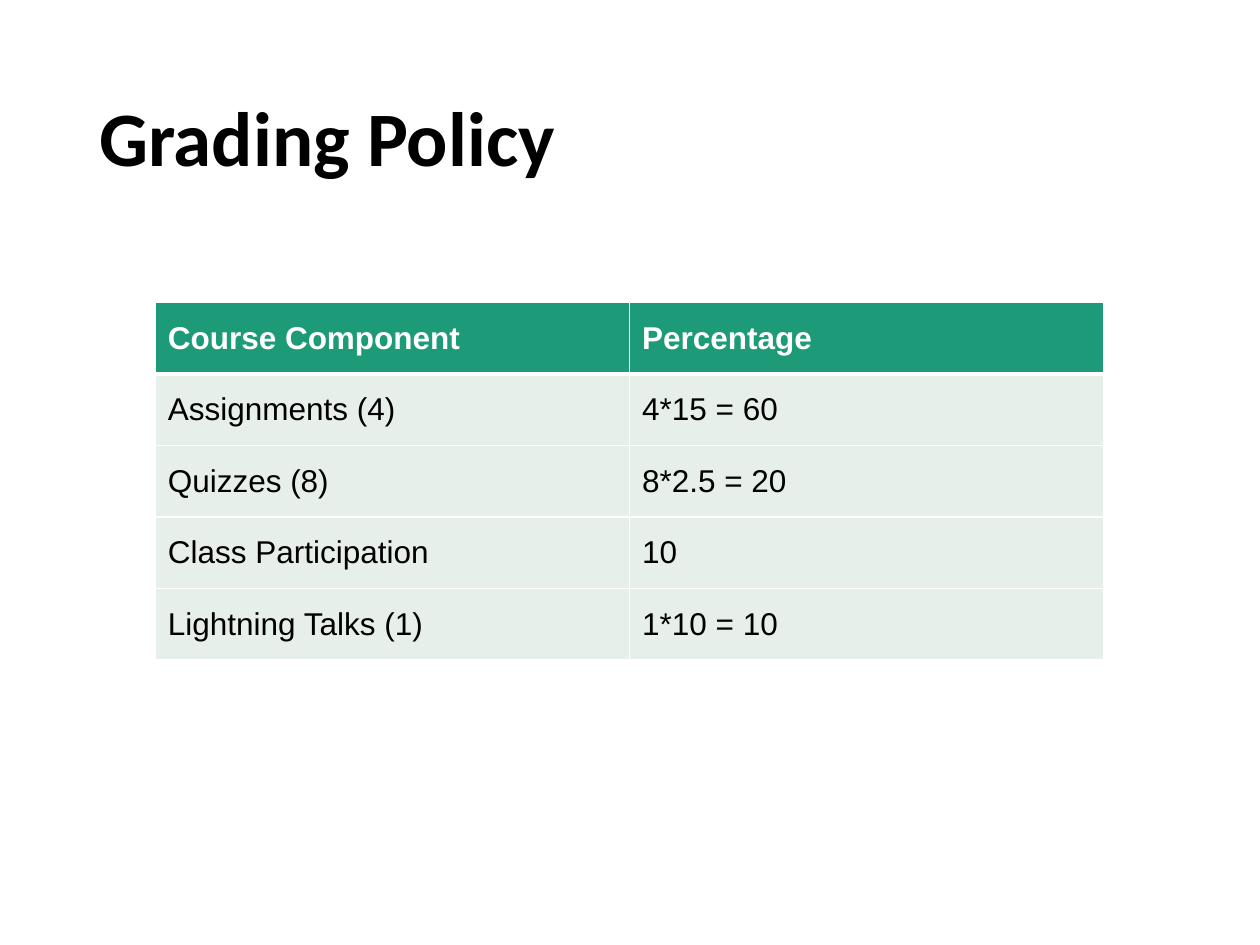
from pptx import Presentation
from pptx.dml.color import RGBColor
from pptx.enum.text import MSO_ANCHOR
from pptx.oxml.ns import qn
from pptx.util import Cm, Pt
from lxml.etree import SubElement

BLACK = RGBColor(0x00, 0x00, 0x00)
WHITE = RGBColor(0xFF, 0xFF, 0xFF)
GREEN = RGBColor(0x1D, 0x9A, 0x78)
PALE_GREEN = RGBColor(0xE7, 0xEF, 0xEB)

GRADING = [
    ("Course Component", "Percentage"),
    ("Assignments (4)", "4*15 = 60"),
    ("Quizzes (8)", "8*2.5 = 20"),
    ("Class Participation", "10"),
    ("Lightning Talks (1)", "1*10 = 10"),
]
COLUMN_WIDTH = Cm(9.56)
ROW_HEIGHT = Cm(1.44)


def add_run(paragraph, text, font_name, size, color, bold):
    run = paragraph.add_run()
    run.text = text
    run.font.name = font_name
    run.font.size = Pt(size)
    run.font.color.rgb = color
    run.font.bold = bold


def add_title(slide, text):
    title = slide.shapes.add_textbox(Cm(1.75), Cm(1.01), Cm(21.9), Cm(3.68))
    frame = title.text_frame
    frame.word_wrap = True
    frame.vertical_anchor = MSO_ANCHOR.MIDDLE
    paragraph = frame.paragraphs[0]
    paragraph.line_spacing = 0.9
    add_run(paragraph, text, "Calibri", 44, BLACK, True)


def set_borders(cell, widths):
    properties = cell._tc.get_or_add_tcPr()
    for position, (side, width) in enumerate(widths.items()):
        border = properties.makeelement(qn(f"a:{side}"), {"w": str(Pt(width))})
        fill = SubElement(border, qn("a:solidFill"))
        SubElement(fill, qn("a:srgbClr"), {"val": str(WHITE)})
        properties.insert(position, border)


def fill_cell(cell, text, is_header, top_width, bottom_width):
    cell.vertical_anchor = MSO_ANCHOR.MIDDLE
    cell.fill.solid()
    cell.fill.fore_color.rgb = GREEN if is_header else PALE_GREEN
    add_run(cell.text_frame.paragraphs[0], text, "Arial", 18,
            WHITE if is_header else BLACK, is_header)
    set_borders(cell, {"lnL": 1, "lnR": 1, "lnT": top_width, "lnB": bottom_width})


def add_grading_table(slide):
    row_count, column_count = len(GRADING), len(GRADING[0])
    grading = slide.shapes.add_table(
        row_count, column_count, Cm(3.13), Cm(6.1),
        COLUMN_WIDTH * column_count, ROW_HEIGHT * row_count).table
    for column in grading.columns:
        column.width = COLUMN_WIDTH
    for row_index, texts in enumerate(GRADING):
        grading.rows[row_index].height = ROW_HEIGHT
        top_width = 3 if row_index == 1 else 1
        bottom_width = 3 if row_index == 0 else 1
        for column_index, text in enumerate(texts):
            fill_cell(grading.cell(row_index, column_index), text,
                      row_index == 0, top_width, bottom_width)


def main():
    presentation = Presentation()
    presentation.slide_width = Cm(25.4)
    presentation.slide_height = Cm(19.05)
    slide = presentation.slides.add_slide(presentation.slide_layouts[6])
    add_title(slide, "Grading Policy")
    add_grading_table(slide)
    presentation.save("out.pptx")


main()
